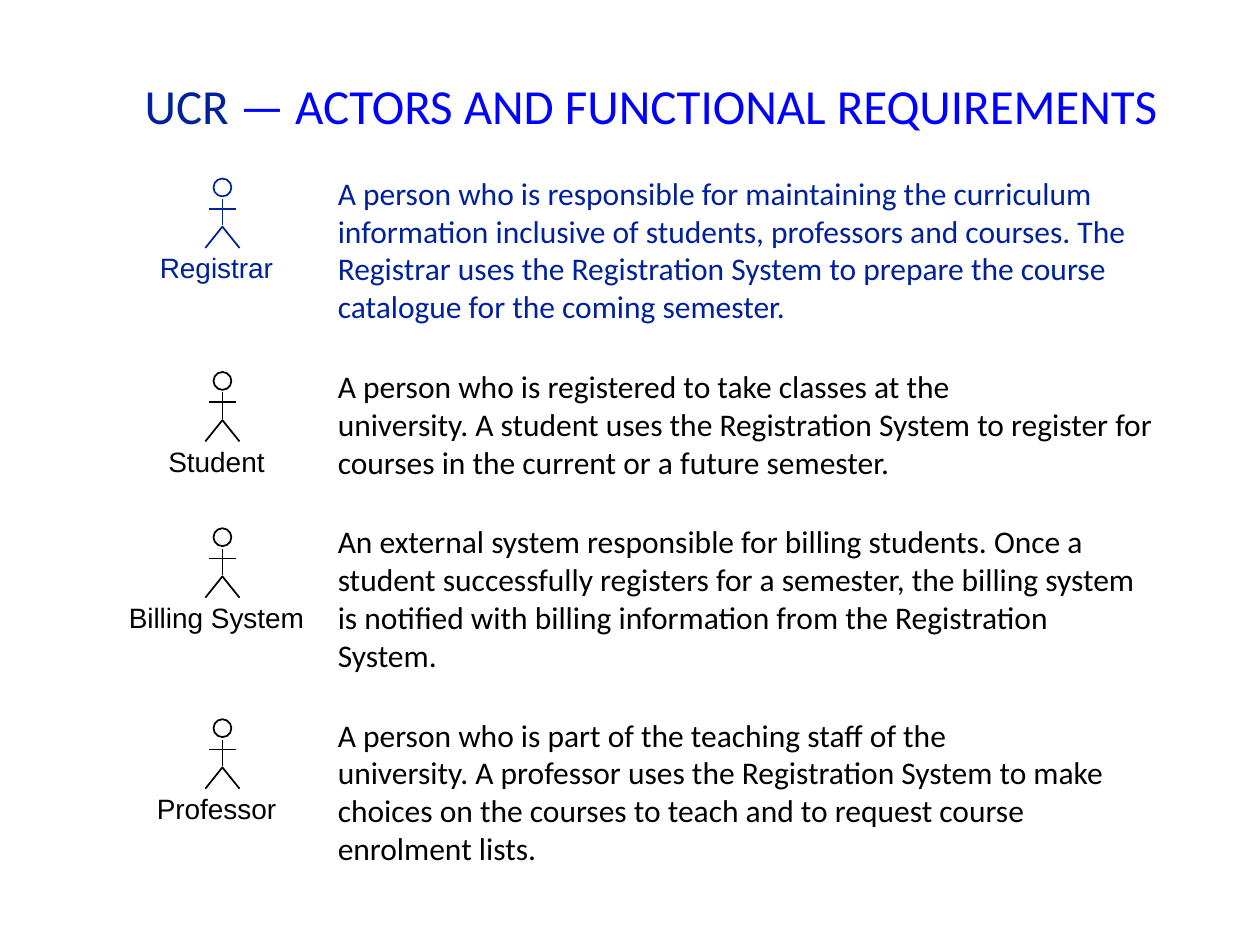
from collections import namedtuple
from dataclasses import dataclass

from lxml import etree
from pptx import Presentation
from pptx import util as u
from pptx.dml.color import RGBColor
from pptx.enum import shapes, text
from pptx.oxml import ns

Box = namedtuple("Box", "left top width height")
Actor = namedtuple("Actor", "name top label_width color description")


@dataclass(frozen=True)
class Theme:
    navy: str = "00219C"
    blue: str = "0000FF"
    black: str = "000000"
    white: str = "FFFFFF"
    body_font: str = "Calibri"
    label_font: str = "Arial"
    title_size: int = 28
    body_size: int = 18
    label_size: int = 16
    paragraph_gap: int = 24
    stroke: int = 1


THEME = Theme()
ACTORS = [
    Actor("Registrar", 3.6, 2.82, THEME.navy,
          "A person who is responsible for maintaining the curriculum information "
          "inclusive of students, professors and courses. The Registrar uses the "
          "Registration System to prepare the course catalogue for the coming semester."),
    Actor("Student", 7.5, 2.46, THEME.black,
          "A person who is registered to take classes at the\n"
          "university. A student uses the Registration System to register for courses "
          "in the current or a future semester."),
    Actor("Billing System", 10.65, 4.09, THEME.black,
          "An external system responsible for billing students. Once a student "
          "successfully registers for a semester, the billing system is notified with "
          "billing information from the Registration System."),
    Actor("Professor", 14.5, 2.95, THEME.black,
          "A person who is part of the teaching staff of the\n"
          "university. A professor uses the Registration System to make choices on the "
          "courses to teach and to request course enrolment lists."),
]


def add_text(parent, box, paragraphs, *, font, size, align=text.PP_ALIGN.LEFT,
             anchor=text.MSO_ANCHOR.TOP, gap=0, wrap=True):
    shape = parent.add_textbox(*map(u.Cm, box))
    frame = shape.text_frame
    frame.word_wrap = wrap
    frame.vertical_anchor = anchor
    for index, spans in enumerate(paragraphs):
        para = frame.add_paragraph() if index else frame.paragraphs[0]
        para.alignment = align
        para.space_before = u.Pt(gap)
        for words, color in spans:
            for number, line in enumerate(words.split("\n")):
                if number:
                    para.add_line_break()
                span = para.add_run()
                span.text = line
                span.font.name = font
                span.font.size = u.Pt(size)
                span.font.color.rgb = RGBColor.from_string(color)
    return shape


def set_stroke(shape, color):
    shape.line.color.rgb = RGBColor.from_string(color)
    shape.line.width = u.Pt(THEME.stroke)


def add_line(parent, start, end, color):
    line = parent.add_connector(shapes.MSO_CONNECTOR.STRAIGHT, *map(u.Cm, start + end))
    set_stroke(line, color)
    properties = line._element.find(ns.qn("p:spPr"))
    etree.SubElement(properties, ns.qn("a:effectLst"))


def add_stick_figure(parent, box, color):
    center = box.left + box.width / 2
    head_size, arm_reach = 0.36, 0.27
    bottom = box.top + box.height

    head = parent.add_shape(shapes.MSO_SHAPE.OVAL, *map(
        u.Cm, (center - head_size / 2, box.top, head_size, head_size)))
    head.shadow.inherit = False
    head.fill.solid()
    head.fill.fore_color.rgb = RGBColor.from_string(THEME.white)
    set_stroke(head, color)

    add_line(parent, (center, box.top + 0.41), (center, box.top + 0.94), color)
    arms = box.top + 0.61
    add_line(parent, (center - arm_reach, arms), (center + arm_reach, arms), color)

    points = [(u.Cm(x), u.Cm(y)) for x, y in (
        (box.left, bottom), (center, box.top + 0.97), (box.left + box.width, bottom))]
    builder = parent.build_freeform(*points[0])
    builder.add_line_segments(points[1:], close=False)
    legs = builder.convert_to_shape()
    legs.shadow.inherit = False
    legs.fill.background()
    set_stroke(legs, color)


def add_actor(page, box, actor):
    parts = page.shapes.add_group_shape().shapes
    label_left = box.left + (box.width - actor.label_width) / 2
    add_text(parts, Box(label_left, box.top + 1.33, actor.label_width, 0.94),
             [[(actor.name, actor.color)]], font=THEME.label_font,
             size=THEME.label_size, align=text.PP_ALIGN.CENTER, wrap=False)
    figure_width = 0.69
    figure_left = box.left + (box.width - figure_width) / 2 + 0.12
    add_stick_figure(parts, Box(figure_left, box.top, figure_width, 1.4), actor.color)


def add_title(page, box):
    add_text(page.shapes, box,
             [[("UCR ", THEME.navy),
               ("— ACTORS AND FUNCTIONAL REQUIREMENTS", THEME.blue)]],
             font=THEME.body_font, size=THEME.title_size,
             align=text.PP_ALIGN.CENTER, anchor=text.MSO_ANCHOR.MIDDLE)


def add_descriptions(page, box):
    add_text(page.shapes, box,
             [[(actor.description, actor.color)] for actor in ACTORS],
             font=THEME.body_font, size=THEME.body_size, gap=THEME.paragraph_gap)


def main():
    deck = Presentation()
    deck.slide_width, deck.slide_height = u.Cm(25.4), u.Cm(19.05)
    page = deck.slides.add_slide(deck.slide_layouts[6])
    add_title(page, Box(1.9, 1.7, 22.44, 0.84))
    add_descriptions(page, Box(6.56, 3.38, 16.94, 14.18))
    for actor in ACTORS:
        add_actor(page, Box(2.32, actor.top, 4.09, 2.27), actor)
    deck.save("out.pptx")


if __name__ == "__main__":
    main()
